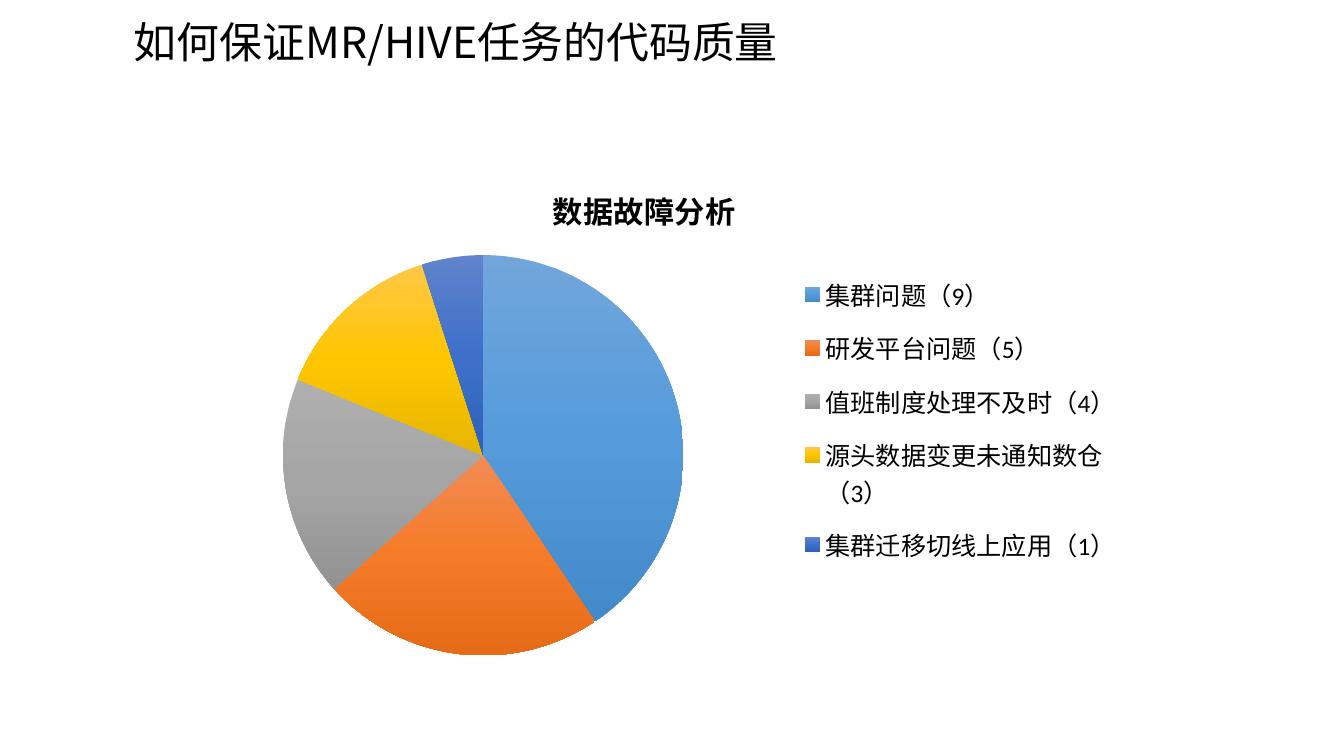
from copy import deepcopy
from lxml import etree
from pptx import Presentation
from pptx import util as u
from pptx.chart.data import CategoryChartData
from pptx.dml.color import RGBColor
from pptx.enum import chart as ch, text
from pptx.oxml import parse_xml
from pptx.oxml.ns import nsdecls, qn

Pt = u.Pt
BLACK = RGBColor(0, 0, 0)
CJK, LATIN = "Noto Sans CJK SC", "Calibri"

# Fault cause, share in percent, gradient from top to bottom
FAULTS = [
    ("集群问题（9）", 41, ("71A6DB", "559BDB", "438AC9")),
    ("研发平台问题（5）", 23, ("F18C55", "F67B28", "E56B17")),
    ("值班制度处理不及时（4）", 18, ("AFAFAF", "A5A5A5", "929292")),
    ("源头数据变更未通知数仓（3）", 14, ("FFC746", "FFC600", "E5B600")),
    ("集群迁移切线上应用（1）", 5, ("6083CB", "3E70CA", "2E61BA")),
]


def set_attrs(obj, **values):
    for name, value in values.items():
        setattr(obj, name, value)


def set_font(font, size, name, bold=False):
    set_attrs(font, size=Pt(size), name=name, bold=bold)
    font.color.rgb = BLACK
    ea = etree.SubElement(font._element, qn("a:ea"))
    ea.set("typeface", CJK)


def add_title(slide, words):
    sp = slide.shapes.title
    set_attrs(sp, left=Pt(88.5), top=Pt(15), width=Pt(516), height=Pt(57))
    tf = sp.text_frame
    set_attrs(tf, word_wrap=True, auto_size=text.MSO_AUTO_SIZE.NONE,
              vertical_anchor=text.MSO_ANCHOR.TOP)
    p = tf.paragraphs[0]
    set_attrs(p, alignment=text.PP_ALIGN.JUSTIFY, line_spacing=0.8,
              space_before=Pt(10))
    r = p.add_run()
    r.text = words
    set_font(r.font, 30.6, CJK)


def fill_slice(point, colours):
    point.format.line.fill.background()
    fill = point.format.fill
    fill.gradient()
    fill.gradient_angle = 270
    top, middle, bottom = map(RGBColor.from_string, colours)
    first, last = fill.gradient_stops
    # The middle stop starts as a copy of the first
    set_attrs(first, position=0.5)
    first.color.rgb = middle
    stop = first._gs
    stop.addnext(deepcopy(stop))
    first.position, last.position = 0, 1
    first.color.rgb, last.color.rgb = top, bottom


def set_layout(parent, after, x, y, w, h, inner=False):
    """Place a chart part by fractions of the chart area."""
    for old in parent.findall(qn("c:layout")):
        parent.remove(old)
    target = '<c:layoutTarget val="inner"/>' if inner else ""
    modes = "".join(f'<c:{a}Mode val="edge"/>' for a in "xy")
    sizes = "".join(f'<c:{a} val="{v}"/>' for a, v in zip("xywh", (x, y, w, h)))
    layout = parse_xml(f'<c:layout {nsdecls("c")}><c:manualLayout>{target}'
                       f'{modes}{sizes}</c:manualLayout></c:layout>')
    if after is None:
        parent.insert(0, layout)
    else:
        parent.find(qn(after)).addnext(layout)


def add_fault_pie(slide, name):
    data = CategoryChartData()
    data.categories = [cause for cause, _, _ in FAULTS]
    data.add_series(name, [share for _, share, _ in FAULTS])
    chart = slide.shapes.add_chart(ch.XL_CHART_TYPE.PIE, Pt(111.5), Pt(116.5),
                                   Pt(697.5), Pt(363), data).chart
    set_font(chart.font, 18, LATIN)

    # Chart title
    chart.has_title = True
    tf = chart.chart_title.text_frame
    tf.text = name
    set_font(tf.paragraphs[0].runs[0].font, 21.6, LATIN, bold=True)

    # Legend
    chart.has_legend = True
    set_attrs(chart.legend, position=ch.XL_LEGEND_POSITION.RIGHT,
              include_in_layout=False)
    set_font(chart.legend.font, 18, LATIN)
    set_layout(chart.legend._element, "c:legendPos", 0.67, 0.19, 0.32, 0.63)

    # Slices
    plot = chart.plots[0]
    set_attrs(plot, vary_by_categories=True, has_data_labels=False)
    for i, (_, _, colours) in enumerate(FAULTS):
        fill_slice(plot.series[0].points[i], colours)
    set_layout(chart._chartSpace.chart.plotArea, None, 0.13, 0.18, 0.41, 0.79,
               inner=True)


def main():
    prs = Presentation()
    set_attrs(prs, slide_width=Pt(960), slide_height=Pt(540))
    slide = prs.slides.add_slide(prs.slide_layouts[5])
    add_title(slide, "如何保证MR/HIVE任务的代码质量")
    add_fault_pie(slide, "数据故障分析")
    prs.save("out.pptx")


main()
